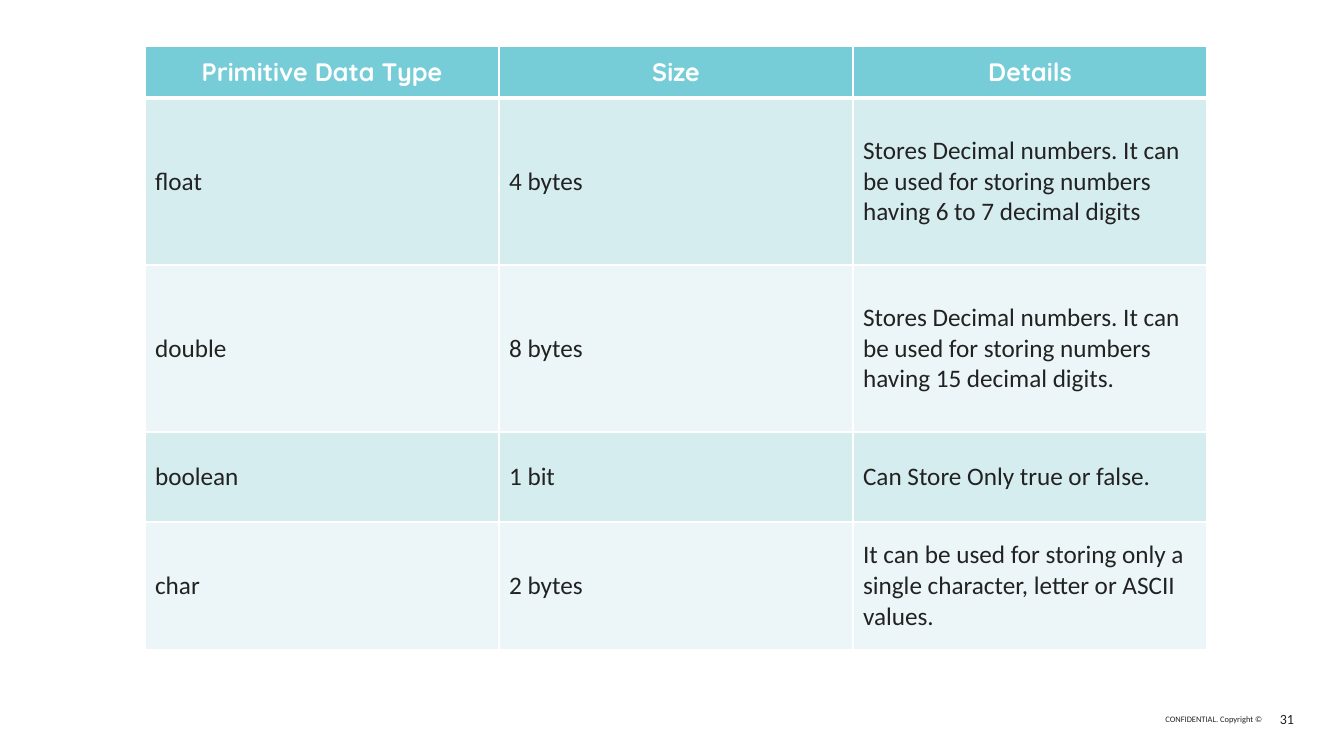
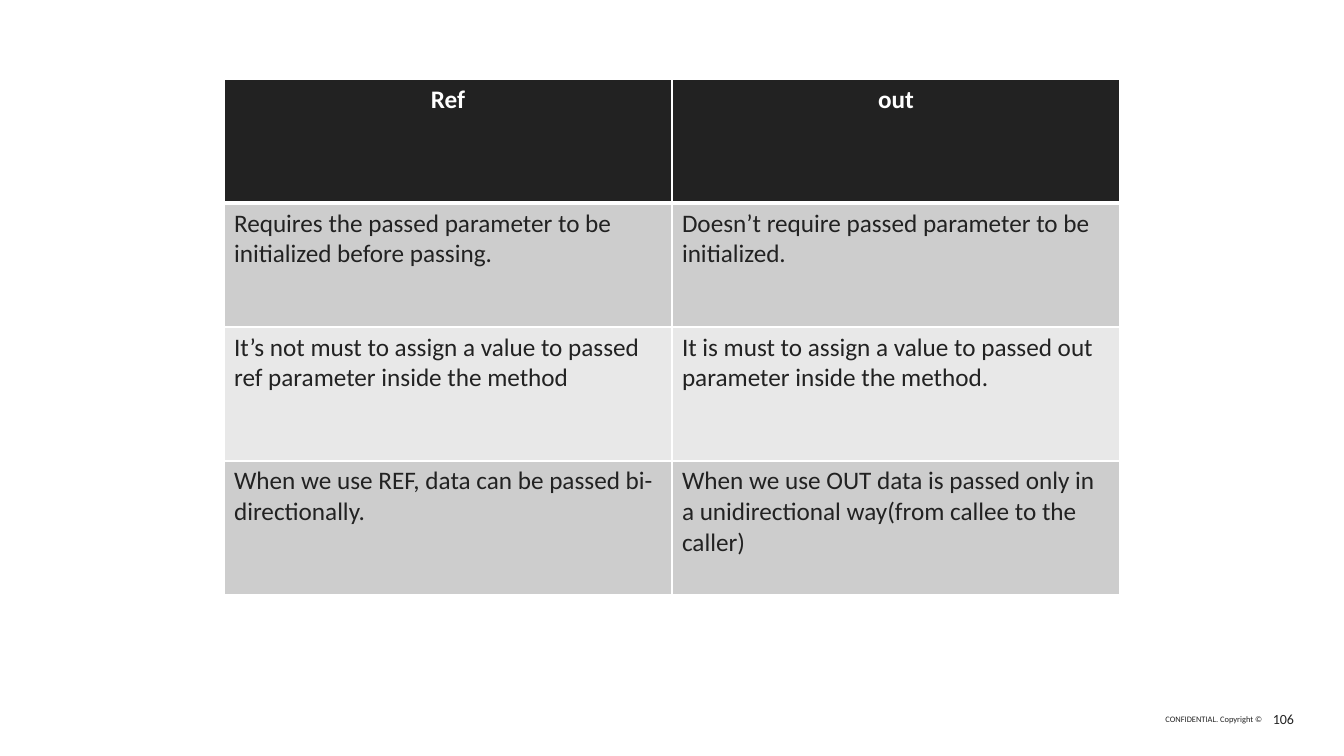
from lxml.etree import SubElement
from pptx import Presentation
from pptx.dml.color import RGBColor
from pptx.enum.text import MSO_ANCHOR, PP_ALIGN
from pptx.oxml.ns import qn
from pptx.util import Emu, Pt

PX_PER_INCH = 100.8


def px(length):
    return Emu(round(length * 914400 / PX_PER_INCH))


def color(hex_code):
    return RGBColor.from_string(hex_code)


def write_text(frame, text, size=18, font="Calibri", ink="222222", bold=False,
               align=PP_ALIGN.LEFT):
    frame.word_wrap = True
    paragraph = frame.paragraphs[0]
    paragraph.alignment = align
    run = paragraph.add_run()
    run.text = text
    run.font.size = Pt(size)
    run.font.name = font
    run.font.bold = bold
    run.font.color.rgb = color(ink)


class Deck:
    WHITE = "FFFFFF"
    FOOTER_TOP = 707
    FOOTER_HEIGHT = 24

    def __init__(self):
        self.presentation = Presentation()
        self.presentation.slide_width = px(1344)
        self.presentation.slide_height = px(756)
        self.slide = None

    def add_slide(self, number):
        blank_layout = self.presentation.slide_layouts[6]
        self.slide = self.presentation.slides.add_slide(blank_layout)
        self.slide.background.fill.solid()
        self.slide.background.fill.fore_color.rgb = color(self.WHITE)
        self.footer(1158, 104, "CONFIDENTIAL. Copyright ©", 6)
        self.footer(1267, 27, str(number), 10)

    def footer(self, left, width, text, size):
        box = self.slide.shapes.add_textbox(
            px(left), px(self.FOOTER_TOP), px(width), px(self.FOOTER_HEIGHT))
        frame = box.text_frame
        frame.margin_left = frame.margin_right = 0
        frame.margin_top = frame.margin_bottom = 0
        frame.vertical_anchor = MSO_ANCHOR.MIDDLE
        write_text(frame, text, size=size, align=PP_ALIGN.RIGHT)

    def borders(self, cell, top, bottom):
        properties = cell._tc.get_or_add_tcPr()
        for side, points in (("L", 1), ("R", 1), ("T", top), ("B", bottom)):
            line = SubElement(properties, qn(f"a:ln{side}"), w=str(Pt(points)))
            fill = SubElement(line, qn("a:solidFill"))
            SubElement(fill, qn("a:srgbClr"), val=self.WHITE)

    def table(self, left, top, column_width, row_heights, rows, header_fill,
              band_fills, header_font="Calibri", anchor=MSO_ANCHOR.TOP):
        column_count = len(rows[0])
        table = self.slide.shapes.add_table(
            len(rows), column_count, px(left), px(top),
            px(column_width * column_count), px(sum(row_heights))).table
        table.horz_banding = False
        for column in table.columns:
            column.width = px(column_width)
        for row_index, texts in enumerate(rows):
            table.rows[row_index].height = px(row_heights[row_index])
            is_header = row_index == 0
            fill = header_fill if is_header else band_fills[(row_index - 1) % 2]
            style = dict(font=header_font, ink=self.WHITE, bold=True,
                         align=PP_ALIGN.CENTER) if is_header else {}
            for column_index, text in enumerate(texts):
                cell = table.cell(row_index, column_index)
                self.borders(cell, top=3 if row_index == 1 else 1,
                             bottom=3 if is_header else 1)
                cell.fill.solid()
                cell.fill.fore_color.rgb = color(fill)
                cell.vertical_anchor = anchor
                write_text(cell.text_frame, text, **style)


def main():
    deck = Deck()

    deck.add_slide(31)
    primitive_types = [
        ("Primitive Data Type", "Size", "Details"),
        ("float", "4 bytes",
         "Stores Decimal numbers. It can be used for storing numbers "
         "having 6 to 7 decimal digits"),
        ("double", "8 bytes",
         "Stores Decimal numbers. It can be used for storing numbers "
         "having 15 decimal digits."),
        ("boolean", "1 bit", "Can Store Only true or false."),
        ("char", "2 bytes",
         "It can be used for storing only a single character, letter "
         "or ASCII values."),
    ]
    deck.table(145, 46, 354, [52, 167, 167, 90, 128], primitive_types,
               "76CDD8", ("D6EDF0", "ECF6F8"), header_font="Quicksand",
               anchor=MSO_ANCHOR.MIDDLE)

    deck.add_slide(106)
    ref_and_out = [
        ("Ref", "out"),
        ("Requires the passed parameter to be initialized before passing.",
         "Doesn’t require passed parameter to be initialized."),
        ("It’s not must to assign a value to passed ref parameter inside "
         "the method",
         "It is must to assign a value to passed out parameter inside "
         "the method."),
        ("When we use REF, data can be passed bi-directionally.",
         "When we use OUT data is passed only in a unidirectional "
         "way(from callee to the caller)"),
    ]
    deck.table(224, 79, 448, [124, 124, 134, 134], ref_and_out,
               "222222", ("CDCDCD", "E8E8E8"))

    deck.presentation.save("out.pptx")


if __name__ == "__main__":
    main()
